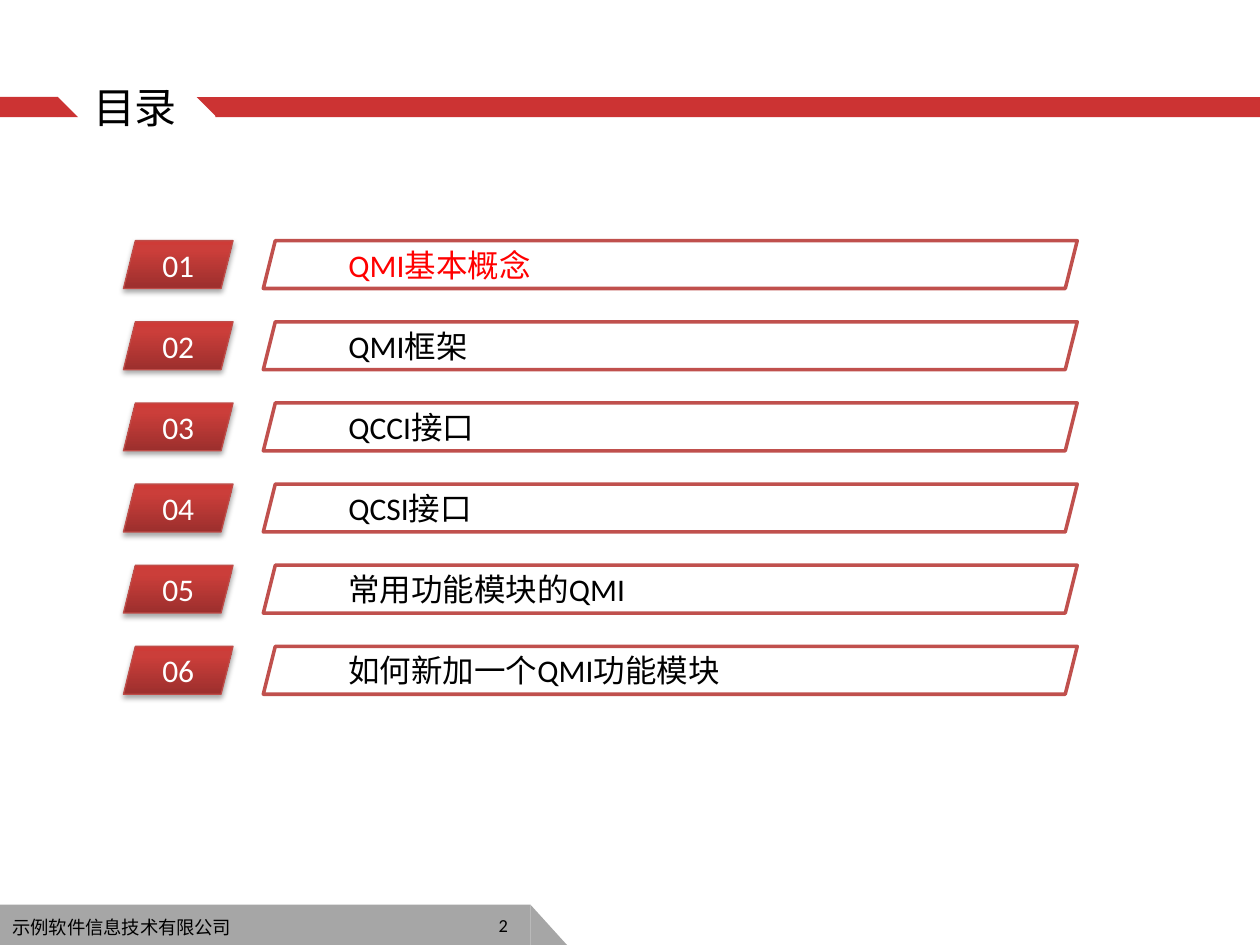
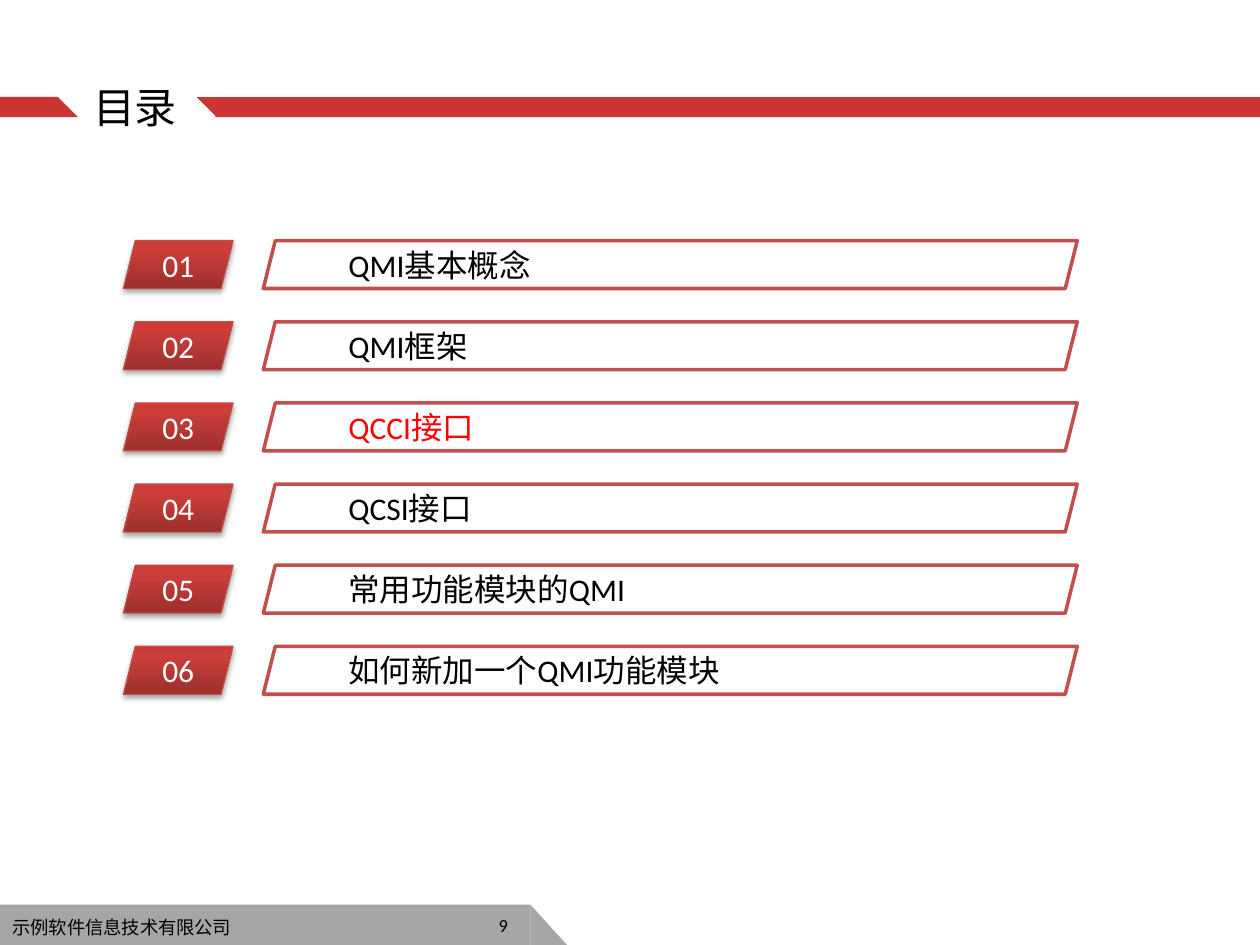
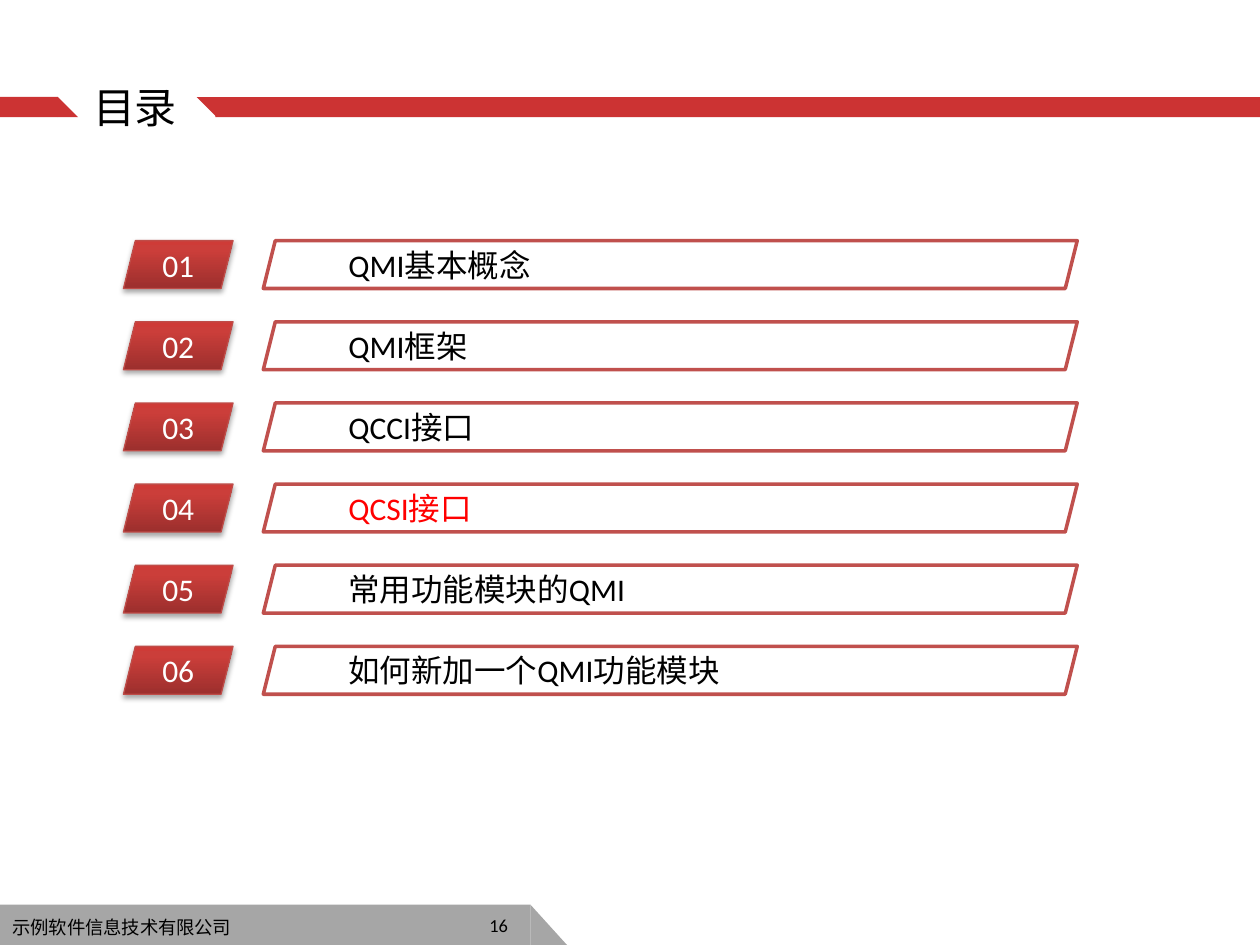
"""Build three agenda slides, each highlighting its current section."""
from dataclasses import dataclass

import lxml.etree
import pptx
import pptx.dml.color
import pptx.enum.shapes
import pptx.enum.text
import pptx.oxml.ns
import pptx.util

Inches = pptx.util.Inches
Shapes = pptx.enum.shapes.MSO_SHAPE
Align = pptx.enum.text.PP_ALIGN
Anchor = pptx.enum.text.MSO_ANCHOR


@dataclass(frozen=True)
class Theme:
    """Colours, fonts and type sizes shared by the slides."""
    band: str = "CC3333"
    footer: str = "A6A6A6"
    text: str = "000000"
    highlight: str = "FF0000"
    white: str = "FFFFFF"
    label_line: str = "C0504D"
    number_line: str = "BF4C48"
    number_stops: tuple = ((0, "9C2F2D"), (80, "CB3E3A"), (100, "CE3B37"))
    latin_font: str = "Calibri"
    chinese_font: str = "Noto Sans CJK SC"
    title_size: float = 24
    item_size: float = 18
    footer_size: float = 10.5


THEME = Theme()
TITLE = "目录"
COMPANY = "示例软件信息技术有限公司"
SECTIONS = ("QMI基本概念", "QMI框架", "QCCI接口", "QCSI接口",
            "常用功能模块的QMI", "如何新加一个QMI功能模块")
AGENDA_PAGES = ((2, 1), (9, 3), (16, 4))
FIRST_ROW_TOP = 1.91
ROW_PITCH = 0.644
ROW_HEIGHT = 0.38


def rgb(value):
    """Turn a hexadecimal string into a colour."""
    return pptx.dml.color.RGBColor.from_string(value)


def add_element(parent, tag, **attributes):
    """Append a DrawingML element to its parent."""
    return lxml.etree.SubElement(parent, pptx.oxml.ns.qn(tag), attributes)


def set_text(shape, text, size, color, font=THEME.latin_font, align=Align.LEFT):
    """Write one line of text and format its run."""
    paragraph = shape.text_frame.paragraphs[0]
    paragraph.text = text
    paragraph.alignment = align
    run = paragraph.runs[0]
    run.font.size = pptx.util.Pt(size)
    run.font.name = font
    run.font.color.rgb = rgb(color)
    add_element(run.font._element, "a:ea", typeface=THEME.chinese_font)


def add_filled_shape(slide, kind, left, top, width, height, color, rotation=0):
    """Add a flat preset shape without outline or shadow."""
    shape = slide.shapes.add_shape(
        kind, Inches(left), Inches(top), Inches(width), Inches(height))
    shape.rotation = rotation
    shape.shadow.inherit = False
    shape.fill.solid()
    shape.fill.fore_color.rgb = rgb(color)
    shape.line.fill.background()
    return shape


def add_text_box(slide, left, top, width, height):
    """Add a wrapping text box."""
    box = slide.shapes.add_textbox(
        Inches(left), Inches(top), Inches(width), Inches(height))
    box.text_frame.word_wrap = True
    return box


def add_chinese_line(slide, text, size, left, top, width, height):
    """Add a text box that grows with its Chinese text."""
    box = add_text_box(slide, left, top, width, height)
    box.text_frame.auto_size = pptx.enum.text.MSO_AUTO_SIZE.SHAPE_TO_FIT_TEXT
    set_text(box, text, size, THEME.text, THEME.chinese_font)


def add_title_band(slide):
    """Draw the red band with the title in its gap."""
    add_chinese_line(slide, TITLE, THEME.title_size, 0.64, 0.6, 1.5, 0.5)
    for kind, left, width, rotation in (
            (Shapes.RECTANGLE, -0.01, 0.47, 0),
            (Shapes.RIGHT_TRIANGLE, 0.46, 0.16, 0),
            (Shapes.RECTANGLE, 1.71, 8.29, 180),
            (Shapes.RIGHT_TRIANGLE, 1.56, 0.16, 180)):
        add_filled_shape(slide, kind, left, 0.77, width, 0.16, THEME.band, rotation)


def add_footer(slide, page_number):
    """Draw the grey footer with company name and page number."""
    add_filled_shape(slide, Shapes.RECTANGLE, -0.01, 7.18, 4.22, 0.32, THEME.footer)
    add_filled_shape(slide, Shapes.RIGHT_TRIANGLE, 4.21, 7.18, 0.29, 0.32, THEME.footer)
    add_chinese_line(slide, COMPANY, THEME.footer_size, 0, 7.22, 4.13, 0.28)
    number_box = add_text_box(slide, 1.8, 7.14, 2.33, 0.4)
    number_box.text_frame.vertical_anchor = Anchor.MIDDLE
    set_text(number_box, str(page_number), THEME.footer_size, THEME.text, align=Align.RIGHT)


def add_parallelogram(slide, left, top, width, line_color, line_width):
    """Add an outlined white parallelogram of row height."""
    shape = add_filled_shape(
        slide, Shapes.PARALLELOGRAM, left, top, width, ROW_HEIGHT, THEME.white)
    shape.line.color.rgb = rgb(line_color)
    shape.line.width = pptx.util.Pt(line_width)
    shape.text_frame.vertical_anchor = Anchor.MIDDLE
    return shape


def apply_number_style(shape):
    """Give a number badge its gradient and soft shadow."""
    shape.fill.gradient()
    shape.fill.gradient_angle = 90
    properties = shape._element.spPr
    stop_list = properties.find(".//" + pptx.oxml.ns.qn("a:gsLst"))
    for stop in list(stop_list):
        stop_list.remove(stop)
    for percent, color in THEME.number_stops:
        stop = add_element(stop_list, "a:gs", pos=str(percent * 1000))
        add_element(stop, "a:srgbClr", val=color)
    effects = properties.find(pptx.oxml.ns.qn("a:effectLst"))
    shadow = add_element(effects, "a:outerShdw", blurRad=str(pptx.util.Pt(3.1)),
                         dist=str(pptx.util.Pt(1.8)), dir="5400000", rotWithShape="0")
    shadow_color = add_element(shadow, "a:srgbClr", val=THEME.text)
    add_element(shadow_color, "a:alpha", val="35000")


def add_agenda_row(slide, number, section, is_current):
    """Draw one numbered agenda row."""
    top = FIRST_ROW_TOP + (number - 1) * ROW_PITCH
    badge = add_parallelogram(slide, 0.98, top, 0.87, THEME.number_line, 0.75)
    apply_number_style(badge)
    set_text(badge, f"{number:02d}", THEME.item_size, THEME.white, align=Align.CENTER)
    label = add_parallelogram(slide, 2.09, top, 6.46, THEME.label_line, 2)
    color = THEME.highlight if is_current else THEME.text
    set_text(label, section, THEME.item_size, color)


def add_agenda_slide(presentation, page_number, current):
    """Add an agenda slide with the current section highlighted."""
    slide = presentation.slides.add_slide(presentation.slide_layouts[6])
    add_footer(slide, page_number)
    add_title_band(slide)
    for number, section in enumerate(SECTIONS, start=1):
        add_agenda_row(slide, number, section, number == current)


def main():
    """Build and save the presentation."""
    presentation = pptx.Presentation()
    presentation.slide_width = Inches(10)
    presentation.slide_height = Inches(7.5)
    for page_number, current in AGENDA_PAGES:
        add_agenda_slide(presentation, page_number, current)
    presentation.save("out.pptx")


if __name__ == "__main__":
    main()
